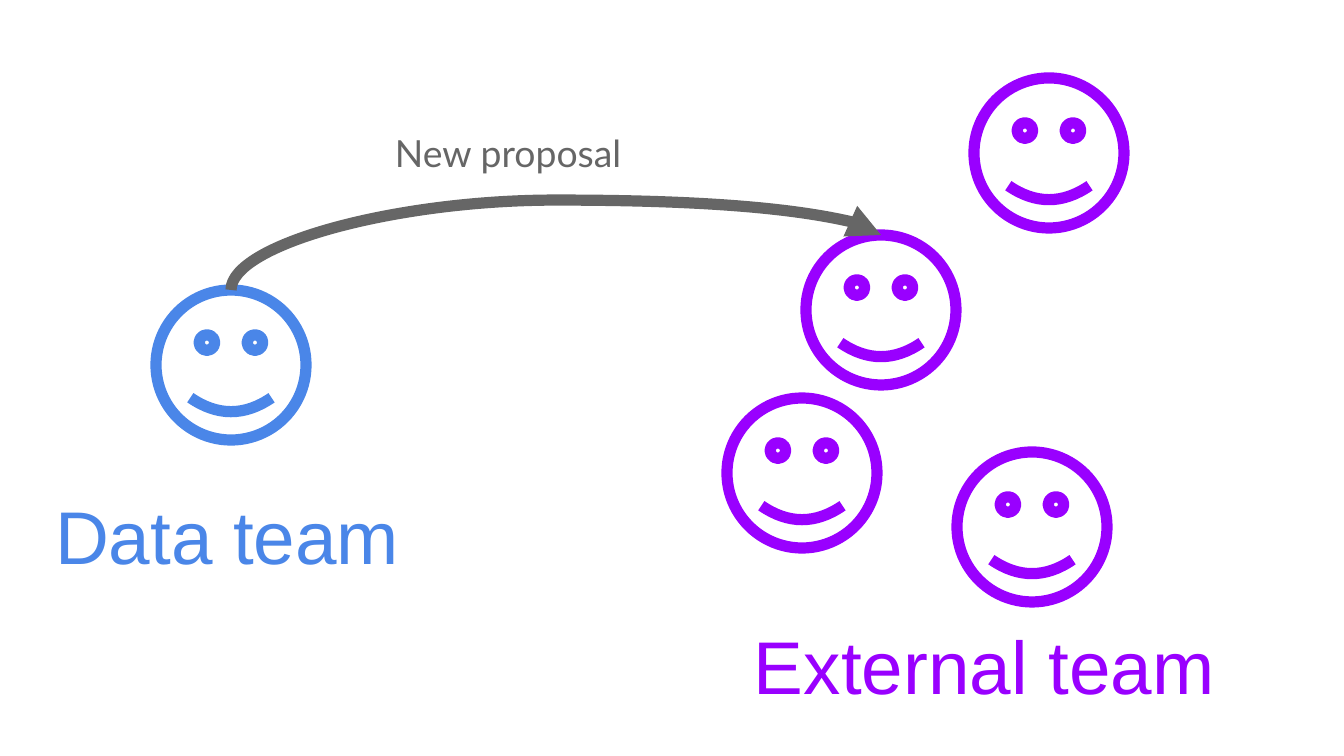
from collections import namedtuple

from lxml.etree import SubElement
from pptx import Presentation
from pptx.dml.color import RGBColor
from pptx.enum.shapes import MSO_CONNECTOR as Link, MSO_SHAPE as Shape
from pptx.oxml.ns import qn
from pptx.util import Pt

EMU_PER_PX = 914400 / 134.4
BLUE = RGBColor(0x4A, 0x86, 0xE8)
PURPLE = RGBColor(0x99, 0x00, 0xFF)
GRAY = RGBColor(0x66, 0x66, 0x66)
FACE_SIZE = 150
LABEL_HEIGHT = 105
LABEL_INSET = 13
STROKE = Pt(6)
TOP_SITE = 0

Box = namedtuple("Box", "left top width height")


def px(length):
    return round(length * EMU_PER_PX)


def add_text(page, box, text, *, size, color, font="Arial"):
    frame = page.shapes.add_textbox(*map(px, box)).text_frame
    frame.word_wrap = True
    frame.margin_left = frame.margin_right = px(LABEL_INSET)
    frame.margin_top = frame.margin_bottom = px(LABEL_INSET)
    span = frame.paragraphs[0].add_run()
    span.text = text
    span.font.name = font
    span.font.size = Pt(size)
    span.font.color.rgb = color


def add_face(page, box, color):
    face = page.shapes.add_shape(Shape.SMILEY_FACE, *map(px, box))
    face.shadow.inherit = False
    face.fill.background()
    face.line.color.rgb = color
    face.line.width = STROKE
    return face


def add_team(page, box, name, color, face_offsets, label_offset):
    faces = [
        add_face(page, Box(box.left + x, box.top + y, FACE_SIZE, FACE_SIZE), color)
        for x, y in face_offsets
    ]
    label_top = box.top + box.height - LABEL_HEIGHT
    label_box = Box(box.left + label_offset, label_top,
                    box.width - label_offset, LABEL_HEIGHT)
    add_text(page, label_box, name, size=40, color=color)
    return faces


def add_proposal_arrow(page, sender, receiver, rise):
    start_x, start_y = receiver.left + receiver.width // 2, receiver.top
    end_x, end_y = sender.left + sender.width // 2, sender.top
    arrow = page.shapes.add_connector(Link.CURVE, start_x, start_y, end_x, end_y)
    arrow.begin_connect(receiver, TOP_SITE)
    arrow.end_connect(sender, TOP_SITE)
    arrow.line.color.rgb = GRAY
    arrow.line.width = STROKE

    drop, span = end_y - start_y, start_x - end_x
    properties = arrow._element.spPr
    frame = properties.xfrm
    for flip in ("flipH", "flipV"):
        frame.attrib.pop(flip, None)
    frame.set("rot", str(90 * 60000))
    arrow.width, arrow.height = drop, span
    arrow.left = (start_x + end_x - drop) // 2
    arrow.top = (start_y + end_y - span) // 2

    guides = properties.find(qn("a:prstGeom")).get_or_add_avLst()
    bend = round(-px(rise) / drop * 100000)
    SubElement(guides, qn("a:gd"), name="adj1", fmla=f"val {bend}")
    SubElement(properties.find(qn("a:ln")), qn("a:headEnd"), type="triangle")
    SubElement(properties, qn("a:effectLst"))


def main():
    deck = Presentation()
    deck.slide_width, deck.slide_height = px(1344), px(756)
    page = deck.slides.add_slide(deck.slide_layouts[6])

    data_faces = add_team(page, Box(42, 290, 500, 292), "Data team", BLUE,
                          [(114, 0)], 0)
    external_faces = add_team(page, Box(727, 78, 590, 634), "External team", PURPLE,
                              [(79, 157), (230, 374), (247, 0), (0, 320)], 14)
    add_proposal_arrow(page, data_faces[0], external_faces[0], rise=35)
    add_text(page, Box(382, 117, 309, 105), "New proposal",
             size=20, color=GRAY, font="Lato")
    deck.save("out.pptx")


if __name__ == "__main__":
    main()
